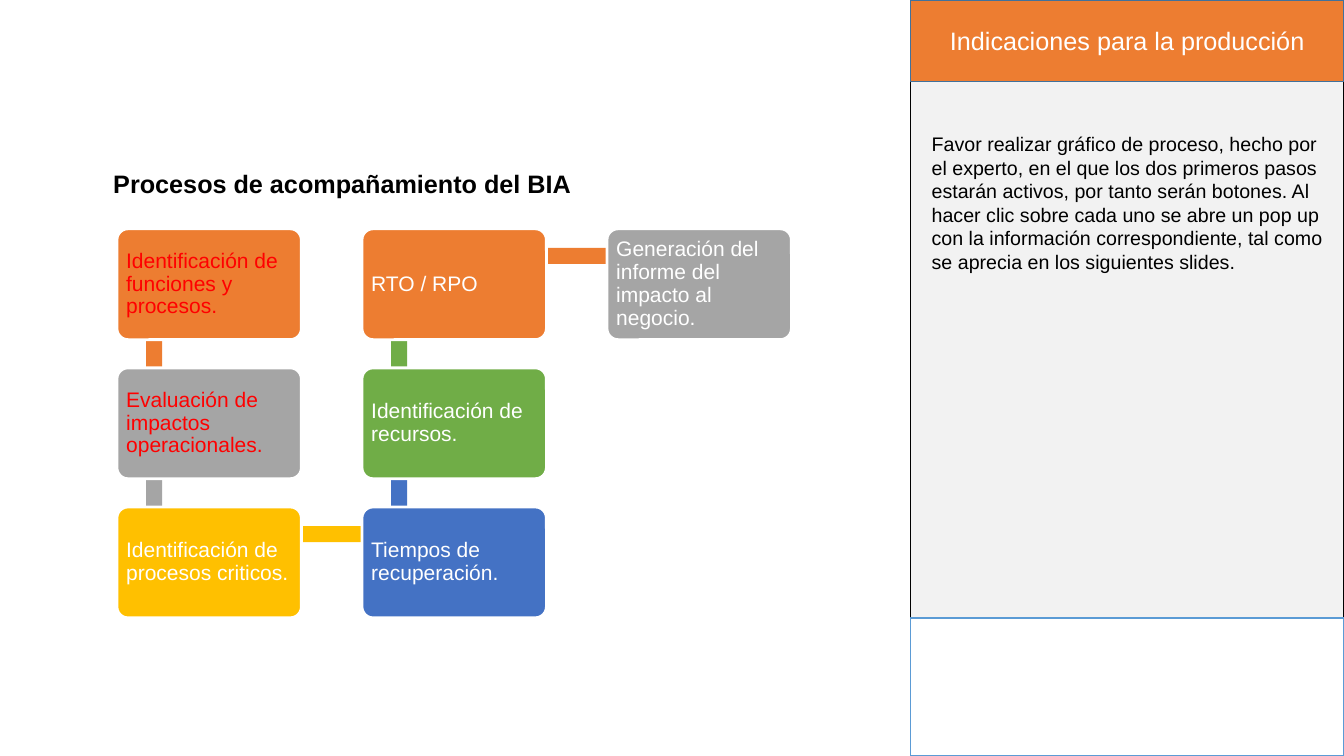
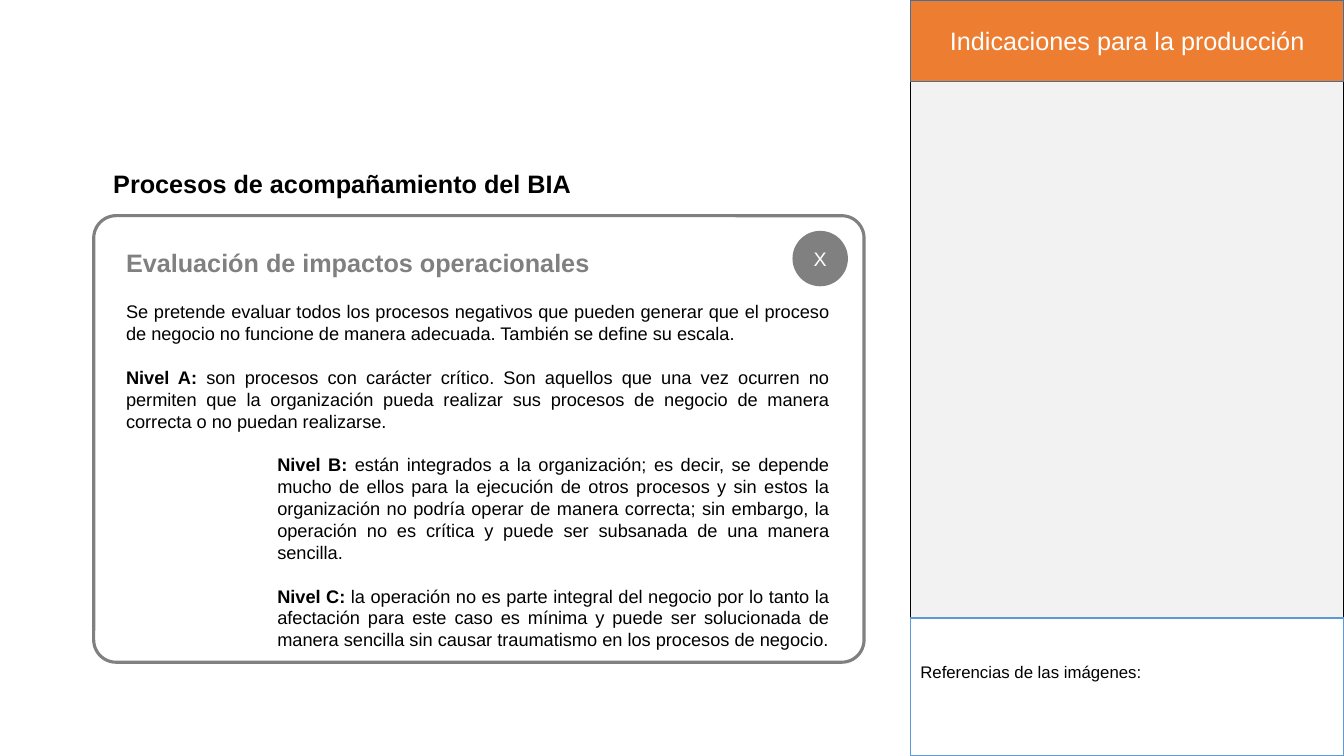
from pptx import Presentation
from pptx.dml.color import RGBColor
from pptx.enum.shapes import MSO_SHAPE
from pptx.enum.text import MSO_ANCHOR, MSO_AUTO_SIZE, PP_ALIGN
from pptx.oxml.ns import qn
from pptx.util import Inches, Pt

RECTANGLE = MSO_SHAPE.RECTANGLE
ROUNDED = MSO_SHAPE.ROUNDED_RECTANGLE
OVAL = MSO_SHAPE.OVAL
TOP, MIDDLE = MSO_ANCHOR.TOP, MSO_ANCHOR.MIDDLE
LEFT, CENTER, JUSTIFY = PP_ALIGN.LEFT, PP_ALIGN.CENTER, PP_ALIGN.JUSTIFY
NO_AUTOFIT = MSO_AUTO_SIZE.NONE

FONT = "Arial"
WHITE, BLACK, RED = "FFFFFF", "000000", "FF0000"
ORANGE, GRAY, YELLOW = "ED7D31", "A5A5A5", "FFC000"
BLUE, GREEN = "4472C4", "70AD47"
DARK_GRAY, LIGHT_GRAY = "808080", "F2F2F2"
HEADER_LINE, FOOTER_LINE = "42719B", "5B9BD5"
PANEL_LEFT, PANEL_WIDTH = 9.03, 4.3


def add_box(slide, kind, box, fill, line=None, line_width=1):
    shape = slide.shapes.add_shape(kind, *[Inches(value) for value in box])
    shape.shadow.inherit = False
    shape.fill.solid()
    shape.fill.fore_color.rgb = RGBColor.from_string(fill)
    if line:
        shape.line.color.rgb = RGBColor.from_string(line)
        shape.line.width = Pt(line_width)
    else:
        shape.line.fill.background()
    shape.text_frame.vertical_anchor = MIDDLE
    return shape


def write(paragraph, text, size, color, align=LEFT, bold=False):
    paragraph.alignment = align
    run = paragraph.add_run()
    run.text = text
    run.font.name = FONT
    run.font.size = Pt(size)
    run.font.bold = bold
    run.font.color.rgb = RGBColor.from_string(color)


presentation = Presentation()
presentation.slide_width = Inches(13.33)
presentation.slide_height = Inches(7.5)

slides = []
footers = []
for body_box in [(9.14, 1.26, 4.09, 3.3), (1.15, 2.4, 7.17, 3.92)]:
    slide = presentation.slides.add_slide(presentation.slide_layouts[1])
    add_box(slide, RECTANGLE, (PANEL_LEFT, 0, PANEL_WIDTH, 7.5), LIGHT_GRAY, BLACK)
    header = add_box(slide, RECTANGLE, (PANEL_LEFT, 0, PANEL_WIDTH, 0.81), ORANGE, HEADER_LINE)
    write(header.text_frame.paragraphs[0], "Indicaciones para la producción", 18, WHITE, CENTER)
    footers.append(add_box(slide, RECTANGLE, (PANEL_LEFT, 6.13, PANEL_WIDTH, 1.37), WHITE, FOOTER_LINE))
    body = slide.placeholders[1]
    for placeholder, box in [(slide.shapes.title, (0.93, 1.57, 4.93, 0.42)), (body, body_box)]:
        placeholder.left, placeholder.top, placeholder.width, placeholder.height = map(Inches, box)
        placeholder.text_frame.auto_size = NO_AUTOFIT
        placeholder.text_frame.vertical_anchor = TOP
        placeholder.text_frame.word_wrap = placeholder is body
        placeholder.element.getparent().append(placeholder.element)
    title_paragraph = slide.shapes.title.text_frame.paragraphs[0]
    title_paragraph.line_spacing = 1.15
    write(title_paragraph, "Procesos de acompañamiento del BIA", 18, BLACK, CENTER, True)
    slides.append(slide)

process_slide, detail_slide = slides

production_note = (
    "Favor realizar gráfico de proceso, hecho por el experto, en el que los dos primeros pasos "
    "estarán activos, por tanto serán botones. Al hacer clic sobre cada uno se abre un pop up "
    "con la información correspondiente, tal como se aprecia en los siguientes slides."
)
detail_paragraphs = [
    ("Evaluación de impactos operacionales", "", 18, DARK_GRAY, LEFT, 0, 0),
    ("", "Se pretende evaluar todos los procesos negativos que pueden generar que el proceso de "
     "negocio no funcione de manera adecuada. También se define su escala.", 13, BLACK, JUSTIFY, 0, 16.8),
    ("Nivel A: ", "son procesos con carácter crítico. Son aquellos que una vez ocurren no permiten "
     "que la organización pueda realizar sus procesos de negocio de manera correcta o no puedan "
     "realizarse.", 13, BLACK, JUSTIFY, 0, 15.6),
    ("Nivel B: ", "están integrados a la organización; es decir, se depende mucho de ellos para la "
     "ejecución de otros procesos y sin estos la organización no podría operar de manera correcta; "
     "sin embargo, la operación no es crítica y puede ser subsanada de una manera sencilla.",
     13, BLACK, JUSTIFY, 1.5, 15.6),
    ("Nivel C: ", "la operación no es parte integral del negocio por lo tanto la afectación para "
     "este caso es mínima y puede ser solucionada de manera sencilla sin causar traumatismo en los "
     "procesos de negocio.", 13, BLACK, JUSTIFY, 1.5, 15.6),
]
note_paragraphs = [("", production_note, 14, BLACK, LEFT, 0, 0)]

STEP_WIDTH, STEP_HEIGHT = 1.83, 1.1
steps = [
    ("Identificación de funciones y procesos.", 0, 0, ORANGE, RED),
    ("Evaluación de impactos operacionales.", 0, 1, GRAY, RED),
    ("Identificación de procesos criticos.", 0, 2, YELLOW, WHITE),
    ("Tiempos de recuperación.", 1, 2, BLUE, WHITE),
    ("Identificación de recursos.", 1, 1, GREEN, WHITE),
    ("RTO / RPO", 1, 0, ORANGE, WHITE),
    ("Generación del informe del impacto al negocio.", 2, 0, GRAY, WHITE),
]
positions = [(1.16 + 2.43 * column, 2.27 + 1.38 * row) for _, column, row, _, _ in steps]

for step, (left, top), (next_left, next_top) in zip(steps, positions, positions[1:]):
    if left == next_left:
        bar = (left + 0.29, min(top, next_top) + 0.28, 0.16, 1.36)
    else:
        bar = (left + 0.37, top + 0.19, 2.42, 0.16)
    add_box(process_slide, RECTANGLE, bar, step[3])

for (text, _, _, fill, color), (left, top) in zip(steps, positions):
    step_box = add_box(process_slide, ROUNDED, (left, top, STEP_WIDTH, STEP_HEIGHT), fill, WHITE, 2)
    step_box.adjustments[0] = 0.1
    frame = step_box.text_frame
    frame.word_wrap = True
    frame.margin_left = frame.margin_right = frame.margin_top = frame.margin_bottom = Inches(0.06)
    frame.paragraphs[0].line_spacing = 0.9
    write(frame.paragraphs[0], text, 15, color)

popup = add_box(detail_slide, ROUNDED, (0.93, 2.14, 7.64, 4.43), WHITE, DARK_GRAY, 2.25)
popup.adjustments[0] = 0.05
detail_body = detail_slide.placeholders[1]
popup.element.addnext(detail_body.element)

for slide, content in [(process_slide, note_paragraphs), (detail_slide, detail_paragraphs)]:
    frame = slide.placeholders[1].text_frame
    for index, (lead, text, size, color, align, indent, space) in enumerate(content):
        paragraph = frame.add_paragraph() if index else frame.paragraphs[0]
        properties = paragraph._p.get_or_add_pPr()
        properties.set("marL", str(Inches(indent)))
        properties.set("indent", "0")
        properties.append(properties.makeelement(qn("a:buNone"), {}))
        paragraph.space_before = Pt(space)
        if lead:
            write(paragraph, lead, size, color, align, True)
        if text:
            write(paragraph, text, size, color, align)

close_button = add_box(detail_slide, OVAL, (7.86, 2.29, 0.55, 0.55), DARK_GRAY)
write(close_button.text_frame.paragraphs[0], "X", 14, WHITE, CENTER)

references = footers[1].text_frame
references.margin_bottom = Inches(0.34)
write(references.paragraphs[0], "Referencias de las imágenes:", 12, BLACK)

presentation.save("out.pptx")
